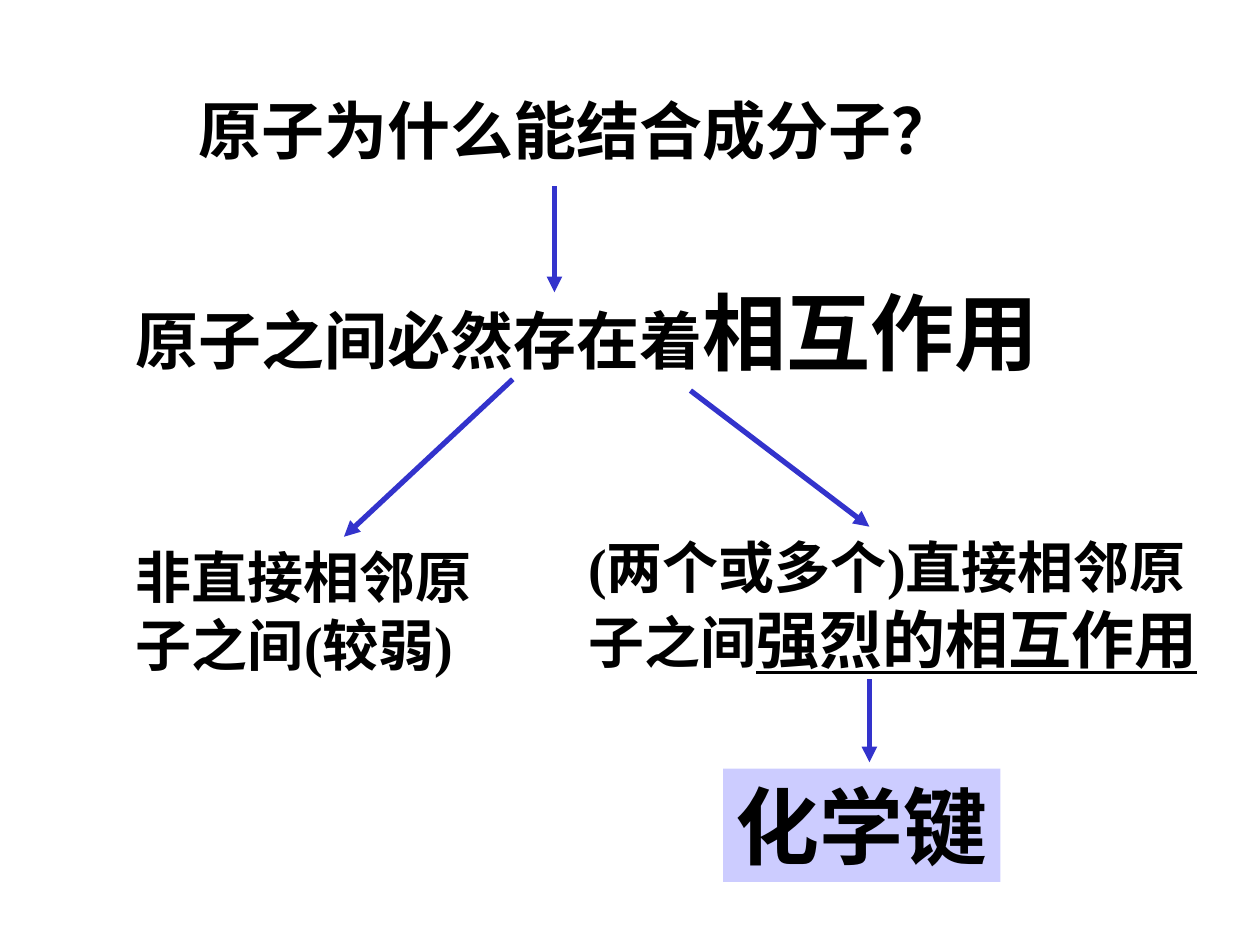
from lxml.etree import SubElement
from pptx import Presentation
from pptx.dml.color import RGBColor
from pptx.enum.lang import MSO_LANGUAGE_ID
from pptx.enum.shapes import MSO_CONNECTOR, MSO_SHAPE
from pptx.enum.text import MSO_ANCHOR, MSO_AUTO_SIZE, PP_ALIGN
from pptx.oxml.ns import qn
from pptx.util import Inches, Pt

BLACK = RGBColor(0x00, 0x00, 0x00)
ARROW_BLUE = RGBColor(0x33, 0x33, 0xCC)
LAVENDER = RGBColor(0xCC, 0xCC, 0xFF)
FONT_NAME = "Times New Roman"


def add_run(paragraph, text, size=36, underline=None):
    run = paragraph.add_run()
    run.text = text
    font = run.font
    font.name = FONT_NAME
    font.size = Pt(size)
    font.bold = True
    font.underline = underline
    font.color.rgb = BLACK
    font.language_id = MSO_LANGUAGE_ID.SIMPLIFIED_CHINESE


def fill_text(shape, runs, wrap=True):
    """Write (text, format) pairs as one left-aligned paragraph."""
    frame = shape.text_frame
    frame.word_wrap = wrap
    frame.auto_size = MSO_AUTO_SIZE.SHAPE_TO_FIT_TEXT
    frame.vertical_anchor = MSO_ANCHOR.TOP
    paragraph = frame.paragraphs[0]
    paragraph.alignment = PP_ALIGN.LEFT
    for text, text_format in runs:
        add_run(paragraph, text, **text_format)


def add_statement(slide, box, *runs):
    shape = slide.shapes.add_textbox(*map(Inches, box))
    fill_text(shape, runs)


def add_conclusion(slide, box, text):
    shape = slide.shapes.add_shape(MSO_SHAPE.RECTANGLE, *map(Inches, box))
    shape.shadow.inherit = False
    shape.fill.solid()
    shape.fill.fore_color.rgb = LAVENDER
    shape.line.fill.background()
    fill_text(shape, [(text, {"size": 48})], wrap=False)


def add_arrow(slide, start, end):
    arrow = slide.shapes.add_connector(
        MSO_CONNECTOR.STRAIGHT, *map(Inches, (*start, *end)))
    arrow.line.color.rgb = ARROW_BLUE
    arrow.line.width = Pt(3)
    properties = arrow.element.spPr
    SubElement(properties.find(qn("a:ln")), qn("a:tailEnd"), type="triangle")
    SubElement(properties, qn("a:effectLst"))


def build_slide(presentation):
    slide = presentation.slides.add_slide(presentation.slide_layouts[6])
    add_conclusion(slide, (5.74, 6.1, 2.2, 0.9), "化学键")
    add_statement(slide, (1.48, 0.68, 6.25, 0.7),
                  ("原子为什么能结合成分子？", {}))
    add_statement(slide, (0.98, 2.18, 7.67, 0.9),
                  ("原子之间必然存在着", {}),
                  ("相互作用", {"size": 48}))
    add_statement(slide, (0.98, 4.26, 2.92, 1.7),
                  ("非直接相邻原子之间(较弱)", {"size": 32}))
    for start, end in (
        ((4.4, 1.48), (4.4, 2.32)),
        ((5.48, 3.1), (6.9, 4.18)),
        ((4.07, 3.01), (2.73, 4.26)),
        ((6.9, 5.39), (6.9, 6.05)),
    ):
        add_arrow(slide, start, end)
    add_statement(slide, (4.57, 4.18, 5.17, 1.84),
                  ("(两个或多个)直接相邻原子之间", {"size": 32}),
                  ("强烈的相互作用", {"underline": True}))


def main():
    presentation = Presentation()
    presentation.slide_width = Inches(10)
    presentation.slide_height = Inches(7.5)
    build_slide(presentation)
    presentation.save("out.pptx")


if __name__ == "__main__":
    main()
